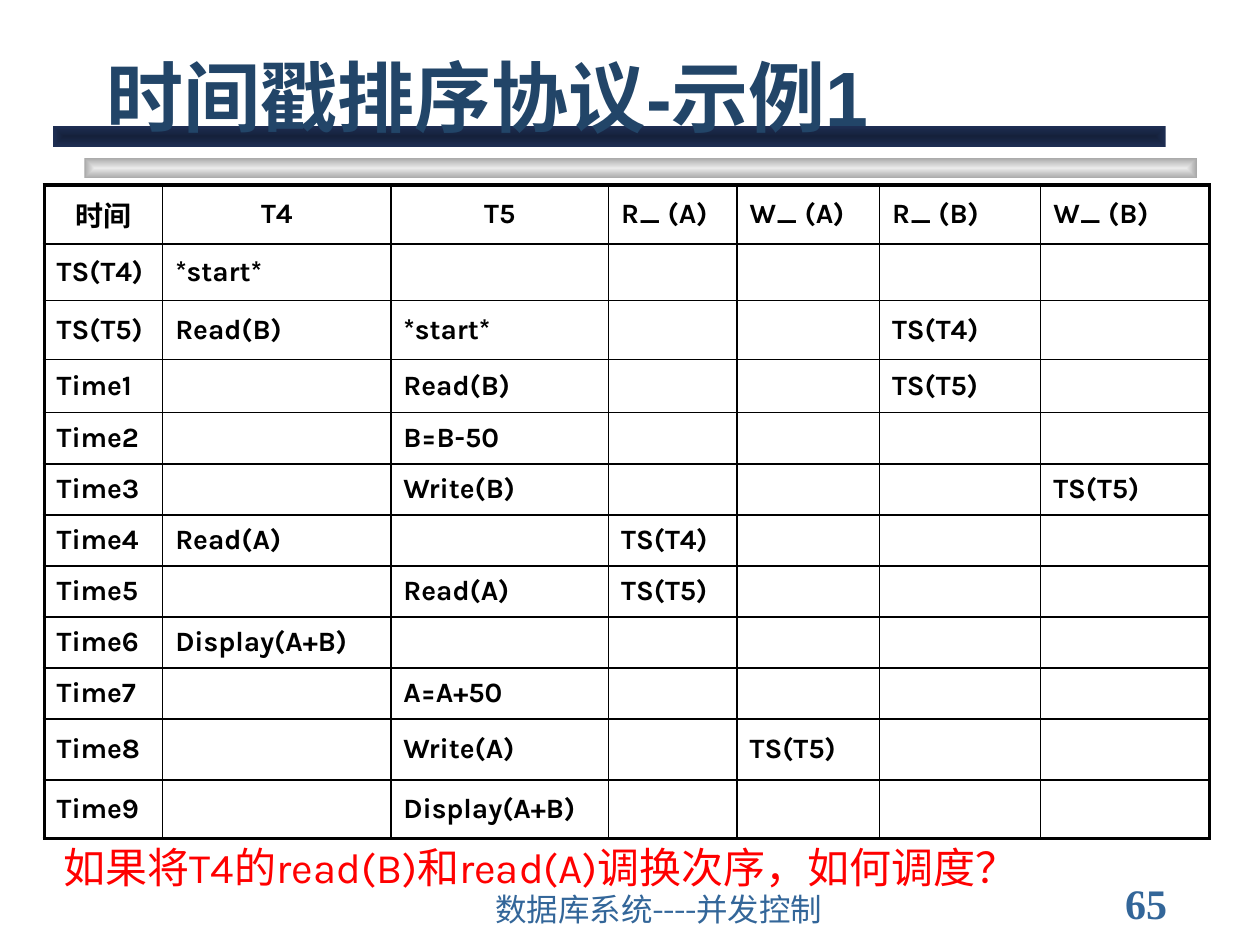
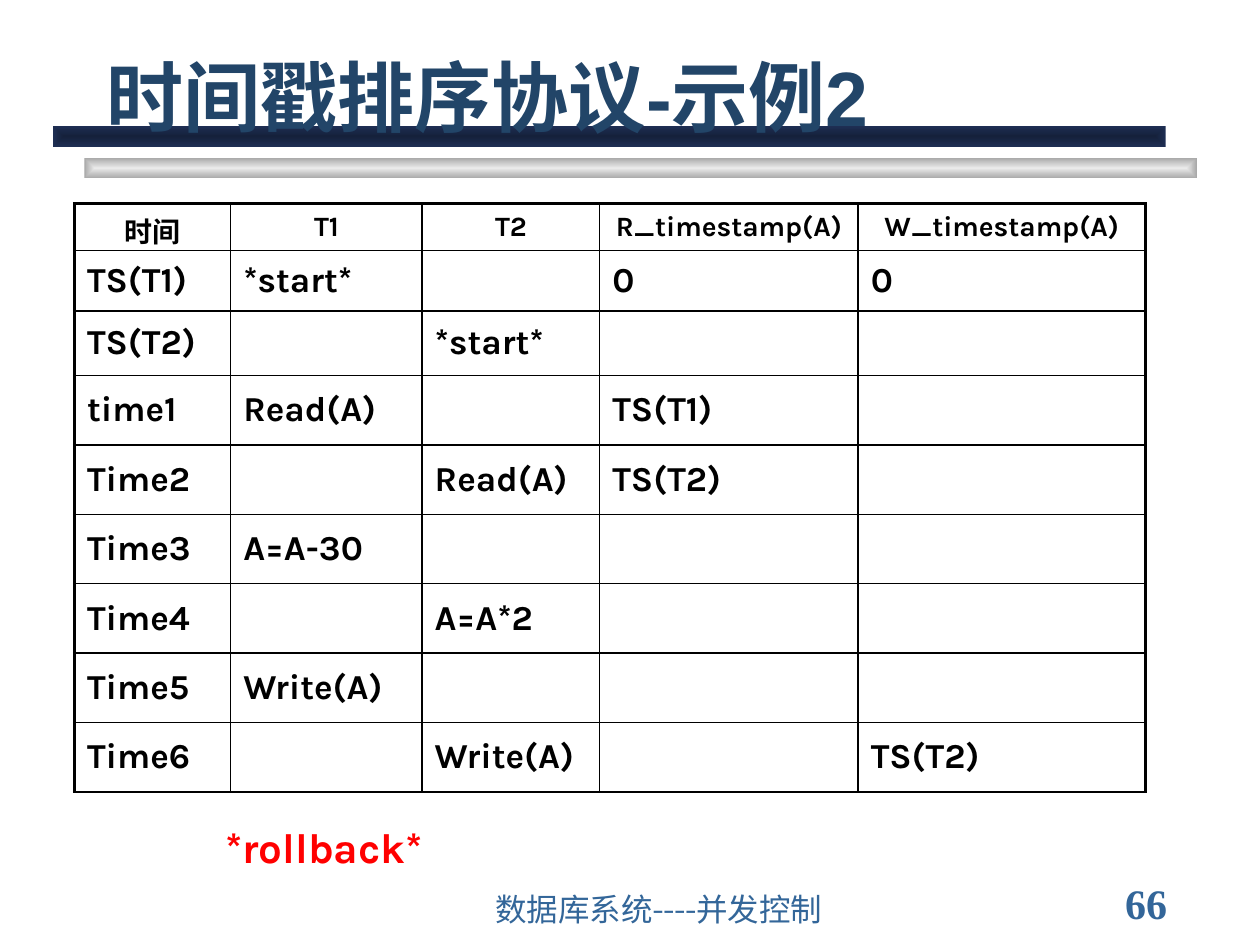
"""Build two slides with worked examples of the timestamp ordering protocol."""
from dataclasses import dataclass
from typing import NamedTuple

from lxml import etree
from pptx import Presentation
from pptx.dml.color import RGBColor
from pptx.enum.shapes import MSO_SHAPE
from pptx.enum.text import MSO_ANCHOR, MSO_AUTO_SIZE, PP_ALIGN
from pptx.oxml.ns import qn
from pptx.slide import Slide
from pptx.table import _Cell
from pptx.text.text import TextFrame
from pptx.util import Cm, Pt

RECT = MSO_SHAPE.RECTANGLE
TOP, MIDDLE, BOTTOM = MSO_ANCHOR.TOP, MSO_ANCHOR.MIDDLE, MSO_ANCHOR.BOTTOM
LEFT, CENTER = PP_ALIGN.LEFT, PP_ALIGN.CENTER
GROW, FIXED = MSO_AUTO_SIZE.SHAPE_TO_FIT_TEXT, MSO_AUTO_SIZE.NONE


class Style(NamedTuple):
    font: str
    size: int
    color: str
    bold: bool = False


@dataclass(frozen=True)
class Theme:
    title: Style = Style("Arial", 44, "224568", True)
    footer: Style = Style("Karla", 18, "336699")
    number: Style = Style("Times New Roman", 24, "336699", True)
    cell: Style = Style("Karla", 16, "000000", True)
    large: Style = Style("Karla", 20, "000000", True)
    note: Style = Style("Karla", 24, "FF0000")
    alert: Style = Style("Karla", 24, "FF0000", True)
    rule: str = "000000"
    thin: int = 1
    thick: int = 2


THEME = Theme()


class Box(NamedTuple):
    left: float
    top: float
    width: float
    height: float

    def place(self) -> tuple[Cm, ...]:
        return tuple(Cm(side) for side in self)


class Band(NamedTuple):
    box: Box
    inner: str
    outer: str


class Label(NamedTuple):
    text: str
    box: Box
    style: Style
    anchor: MSO_ANCHOR = TOP
    grow: bool = False


class Step(NamedTuple):
    time: str
    marks: dict[int, str]


class Grid(NamedTuple):
    left: float
    top: float
    widths: list[float]
    heights: list[float]
    heads: list[str]
    centred: int
    body: Style
    floor: int
    steps: list[Step]


class Page(NamedTuple):
    grid: Grid
    note: Label


BANDS = [
    Band(Box(1.7, 3.18, 22.43, 0.42), "EAEAEA", "A7A7A7"),
    Band(Box(1.07, 2.54, 22.43, 0.42), "15213B", "1E2E53"),
]

PAGES = [
    Page(
        Grid(
            0.89, 3.73,
            [2.39, 4.6, 4.39, 2.59, 2.87, 3.25, 3.4],
            [1.19, 1.14, 1.19, 1.07] + [1.0] * 6 + [1.22, 1.19],
            ["时间", "T4", "T5", "R_ (A)", "W_ (A)", "R_ (B)", "W_ (B)"],
            3, THEME.cell, THEME.thick,
            [
                Step("TS(T4)", {1: "*start*"}),
                Step("TS(T5)", {1: "Read(B)", 2: "*start*", 5: "TS(T4)"}),
                Step("Time1", {2: "Read(B)", 5: "TS(T5)"}),
                Step("Time2", {2: "B=B-50"}),
                Step("Time3", {2: "Write(B)", 6: "TS(T5)"}),
                Step("Time4", {1: "Read(A)", 3: "TS(T4)"}),
                Step("Time5", {2: "Read(A)", 3: "TS(T5)"}),
                Step("Time6", {1: "Display(A+B)"}),
                Step("Time7", {2: "A=A+50"}),
                Step("Time8", {2: "Write(A)", 4: "TS(T5)"}),
                Step("Time9", {2: "Display(A+B)"}),
            ],
        ),
        Label("如果将T4的read(B)和read(A)调换次序，如何调度？",
              Box(1.04, 16.84, 19.99, 1.3), THEME.note, grow=True),
    ),
    Page(
        Grid(
            1.5, 4.11,
            [3.15, 3.86, 3.58, 5.21, 5.79],
            [0.94, 1.22, 1.3] + [1.4] * 6,
            ["时间", "T1", "T2", "R_timestamp(A)", "W_timestamp(A)"],
            5, THEME.large, THEME.thin,
            [
                Step("TS(T1)", {1: "*start*", 3: "0", 4: "0"}),
                Step("TS(T2)", {2: "*start*"}),
                Step("time1", {1: "Read(A)", 3: "TS(T1)"}),
                Step("Time2", {2: "Read(A)", 3: "TS(T2)"}),
                Step("Time3", {1: "A=A-30"}),
                Step("Time4", {2: "A=A*2"}),
                Step("Time5", {1: "Write(A)"}),
                Step("Time6", {2: "Write(A)", 4: "TS(T2)"}),
            ],
        ),
        Label("*rollback*", Box(4.29, 16.43, 5.03, 1.27), THEME.alert, grow=True),
    ),
]


def write(frame: TextFrame, text: str, style: Style, align: PP_ALIGN = LEFT) -> None:
    frame.text = text
    para = frame.paragraphs[0]
    para.alignment = align
    for run in para.runs:
        font = run.font
        font.name, font.size, font.bold = style.font, Pt(style.size), style.bold
        font.color.rgb = RGBColor.from_string(style.color)


def add_label(slide: Slide, label: Label) -> None:
    frame = slide.shapes.add_textbox(*label.box.place()).text_frame
    frame.word_wrap = True
    frame.auto_size = GROW if label.grow else FIXED
    frame.vertical_anchor = label.anchor
    write(frame, label.text, label.style)


def add_band(slide: Slide, band: Band) -> None:
    shape = slide.shapes.add_shape(RECT, *band.box.place())
    shape.shadow.inherit = False
    shape.line.fill.background()
    shape.fill.gradient()
    for stop, color in zip(shape.fill.gradient_stops, (band.inner, band.outer)):
        stop.color.rgb = RGBColor.from_string(color)
    grad = shape.element.spPr.find(qn("a:gradFill"))
    grad.remove(grad.find(qn("a:lin")))
    focus = etree.SubElement(grad, qn("a:path"), {"path": "shape"})
    sides = dict.fromkeys("ltrb", "50000")
    etree.SubElement(focus, qn("a:fillToRect"), sides)


def add_rules(cell: _Cell, sizes: dict[str, int]) -> None:
    props = cell._tc.get_or_add_tcPr()
    for side, size in sizes.items():
        line = etree.SubElement(props, qn(f"a:ln{side}"), {"w": str(Pt(size))})
        fill = etree.SubElement(line, qn("a:solidFill"))
        etree.SubElement(fill, qn("a:srgbClr"), {"val": THEME.rule})


def add_grid(slide: Slide, grid: Grid) -> None:
    rows, cols = len(grid.heights), len(grid.widths)
    box = Box(grid.left, grid.top, sum(grid.widths), sum(grid.heights))
    table = slide.shapes.add_table(rows, cols, *box.place()).table
    table.first_row = table.horz_banding = False
    for col, width in zip(table.columns, grid.widths):
        col.width = Cm(width)
    for row, height in zip(table.rows, grid.heights):
        row.height = Cm(height)
    lines = [dict(enumerate(grid.heads))]
    lines += [{0: step.time, **step.marks} for step in grid.steps]
    thin, thick = THEME.thin, THEME.thick
    for y, line in enumerate(lines):
        for x in range(cols):
            cell = table.cell(y, x)
            cell.vertical_anchor = MIDDLE
            add_rules(cell, {
                "L": thick if x == 0 else thin,
                "R": thick if x == cols - 1 else thin,
                "T": thick if y == 0 else thin,
                "B": grid.floor if y == rows - 1 else thin,
            })
            cell.fill.background()
            if x in line:
                style = THEME.cell if y == 0 else grid.body
                align = CENTER if y == 0 and x < grid.centred else LEFT
                write(cell.text_frame, line[x], style, align)


def add_frame(slide: Slide, order: int) -> None:
    for band in BANDS:
        add_band(slide, band)
    for label in (
        Label(str(64 + order), Box(22.43, 17.78, 2.74, 0.84), THEME.number, MIDDLE),
        Label("数据库系统----并发控制", Box(9.73, 17.98, 10.36, 0.84), THEME.footer, BOTTOM),
        Label(f"时间戳排序协议-示例{order}", Box(1.9, 0.64, 21.59, 2.34), THEME.title, BOTTOM),
    ):
        add_label(slide, label)


def main() -> None:
    deck = Presentation()
    deck.slide_width, deck.slide_height = Cm(25.4), Cm(19.05)
    for order, page in enumerate(PAGES, 1):
        slide = deck.slides.add_slide(deck.slide_layouts[6])
        add_frame(slide, order)
        add_grid(slide, page.grid)
        add_label(slide, page.note)
    deck.save("out.pptx")


if __name__ == "__main__":
    main()
